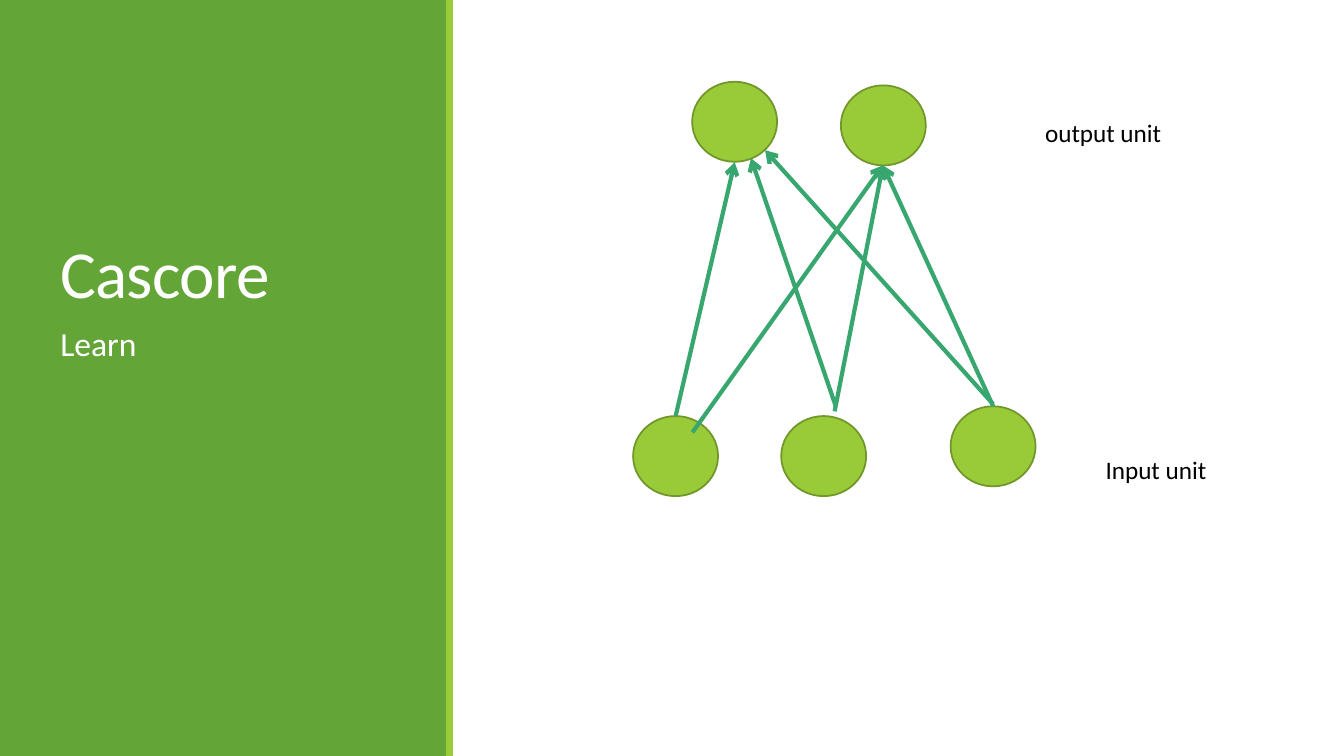
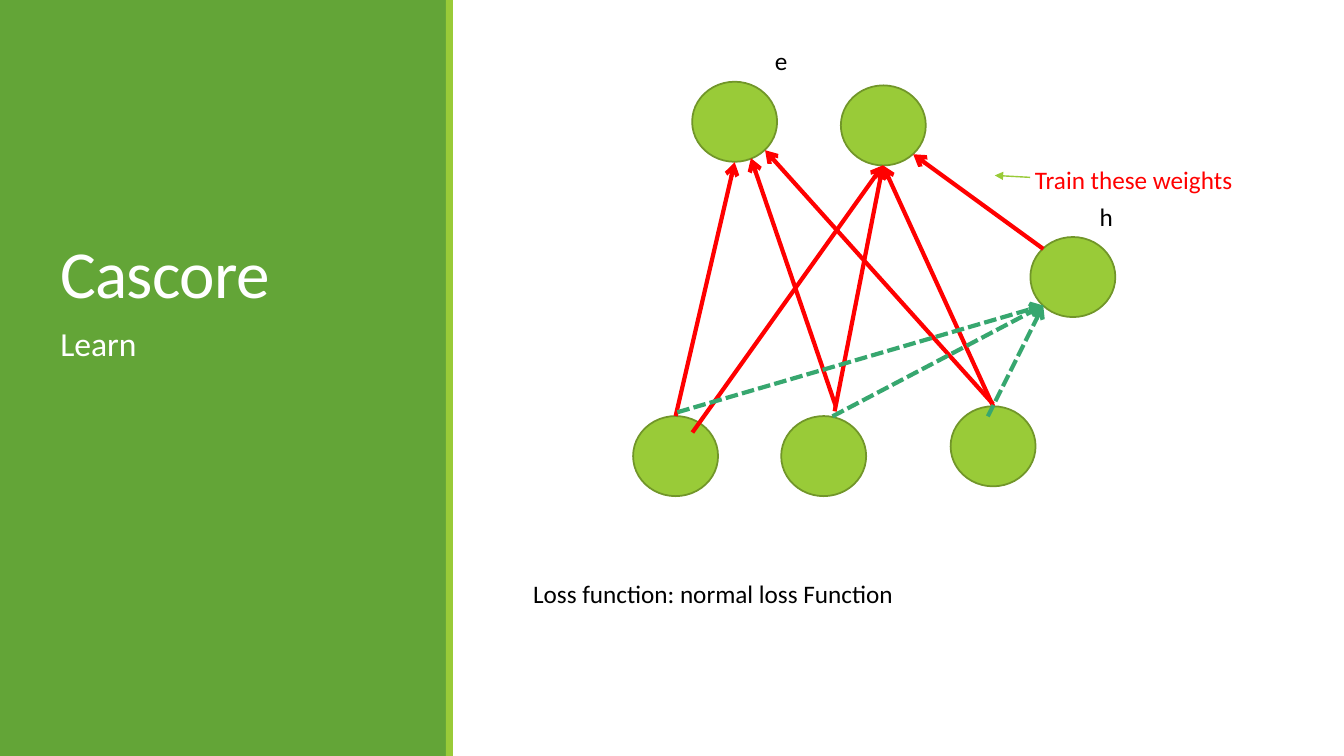
"""Build two slides that show a Cascore network before and after adding a hidden unit."""
from lxml.etree import SubElement
from pptx import Presentation
from pptx.dml.color import RGBColor
from pptx.enum.dml import MSO_LINE
from pptx.enum.shapes import MSO_CONNECTOR, MSO_SHAPE
from pptx.enum.text import MSO_ANCHOR, MSO_AUTO_SIZE
from pptx.oxml.ns import qn
from pptx.util import Pt

GREEN = RGBColor(0x63, 0xA5, 0x37)
LIME = RGBColor(0x99, 0xCB, 0x38)
OLIVE = RGBColor(0x71, 0x96, 0x29)
TEAL = RGBColor(0x37, 0xA7, 0x6F)
RED = RGBColor(0xFF, 0x00, 0x00)
BLACK = RGBColor(0x00, 0x00, 0x00)
WHITE = RGBColor(0xFF, 0xFF, 0xFF)

FONT = "Calibri"
SLIDE_W, SLIDE_H = 960, 540
UNIT_W, UNIT_H = 60.7, 57.2
LABEL_H = 29

TITLE, SUBTITLE = "Cascore", "Learn"
INPUT_UNITS = [(452.2, 297.2), (679, 290.2), (558, 297.2)]
OUTPUT_UNITS = [(494.4, 58.4), (600.6, 61)]
HIDDEN_UNIT = (736, 169.3)

OUTPUT_2_IN = (630.7, 118.1)
HIDDEN_IN = (745.2, 218.2)
WEIGHTS = [
    ((482.6, 297.2), (524.8, 115.9)),
    ((596.2, 293.8), OUTPUT_2_IN),
    ((709.4, 290.2), OUTPUT_2_IN),
    ((597, 290.2), (536.4, 113)),
    ((709.4, 288.7), (546.5, 107.3)),
    ((494.6, 308.9), OUTPUT_2_IN),
]
HIDDEN_WEIGHT = ((745.2, 177.8), (652.3, 110.2))
FROZEN_STARTS = [(483.8, 294.5), (594.7, 297.4), (705.6, 297.4)]
POINTER = ((735.8, 126.7), (710.6, 125.3))

SLIDES = [
    dict(
        units=INPUT_UNITS + OUTPUT_UNITS,
        weights=WEIGHTS, color=TEAL, frozen=[], pointers=[],
        labels=[("Input unit", 782.6, 321.1, 87.8, BLACK),
                ("output unit", 739.4, 80.6, 98.6, BLACK)],
    ),
    dict(
        units=INPUT_UNITS + OUTPUT_UNITS + [HIDDEN_UNIT],
        weights=WEIGHTS + [HIDDEN_WEIGHT], color=RED,
        frozen=[(start, HIDDEN_IN) for start in FROZEN_STARTS],
        pointers=[POINTER],
        labels=[("e", 546.5, 28.8, 23.8, BLACK),
                ("h", 778.3, 140.4, 24.5, BLACK),
                ("Train these weights", 732.2, 113.8, 157, RED),
                ("Loss function: normal loss Function", 373.7, 409.7, 275, BLACK)],
    ),
]


def add_text(s, text, x, y, w, h, *, size=18, color=BLACK, wrap=False,
             anchor=MSO_ANCHOR.TOP, line=1.0, before=0, after=0, spacing=0):
    tf = s.shapes.add_textbox(Pt(x), Pt(y), Pt(w), Pt(h)).text_frame
    tf.word_wrap = wrap
    tf.auto_size = MSO_AUTO_SIZE.NONE if wrap else MSO_AUTO_SIZE.SHAPE_TO_FIT_TEXT
    tf.vertical_anchor = anchor
    p = tf.paragraphs[0]
    p.line_spacing, p.space_before, p.space_after = line, Pt(before), Pt(after)
    r = p.add_run()
    r.text = text
    r.font.name, r.font.size, r.font.color.rgb = FONT, Pt(size), color
    if spacing:
        r.font._element.set("spc", str(int(spacing * 100)))


def add_shape(s, kind, x, y, w, h, fill, outline=None):
    sp = s.shapes.add_shape(kind, Pt(x), Pt(y), Pt(w), Pt(h))
    sp.shadow.inherit = False
    sp.fill.solid()
    sp.fill.fore_color.rgb = fill
    if outline is None:
        sp.line.fill.background()
    else:
        sp.line.color.rgb, sp.line.width = outline, Pt(1.25)


def add_arrow(s, start, end, color, *, width=3, head="arrow", dash=None):
    points = [Pt(v) for v in start + end]
    cx = s.shapes.add_connector(MSO_CONNECTOR.STRAIGHT, *points)
    cx.line.color.rgb, cx.line.width = color, Pt(width)
    if dash is not None:
        cx.line.dash_style = dash
    SubElement(cx.line._get_or_add_ln(), qn("a:tailEnd"), type=head)
    SubElement(cx._element.spPr, qn("a:effectLst"))


def add_side_panel(s):
    add_shape(s, MSO_SHAPE.RECTANGLE, 0, 0, 319, SLIDE_H, GREEN)
    add_shape(s, MSO_SHAPE.RECTANGLE, 318.5, 0, 5, SLIDE_H, LIME)
    add_text(s, TITLE, 36, 46.8, 252, 180, size=48, color=WHITE, wrap=True,
             anchor=MSO_ANCHOR.BOTTOM, line=0.85, spacing=-0.5)
    add_text(s, SUBTITLE, 36, 230.4, 252, 266.4, size=24, color=WHITE, wrap=True,
             line=0.9, before=12, after=2)


def add_network(s, units, weights, color, frozen, pointers, labels):
    for x, y in units:
        add_shape(s, MSO_SHAPE.OVAL, x, y, UNIT_W, UNIT_H, LIME, OLIVE)
    for start, end in weights:
        add_arrow(s, start, end, color)
    for start, end in frozen:
        add_arrow(s, start, end, TEAL, dash=MSO_LINE.SQUARE_DOT)
    for start, end in pointers:
        add_arrow(s, start, end, LIME, width=1, head="triangle")
    for text, x, y, w, text_color in labels:
        add_text(s, text, x, y, w, LABEL_H, color=text_color)


def main():
    prs = Presentation()
    prs.slide_width, prs.slide_height = Pt(SLIDE_W), Pt(SLIDE_H)
    for content in SLIDES:
        s = prs.slides.add_slide(prs.slide_layouts[6])
        add_side_panel(s)
        add_network(s, **content)
    prs.save("out.pptx")


if __name__ == "__main__":
    main()
